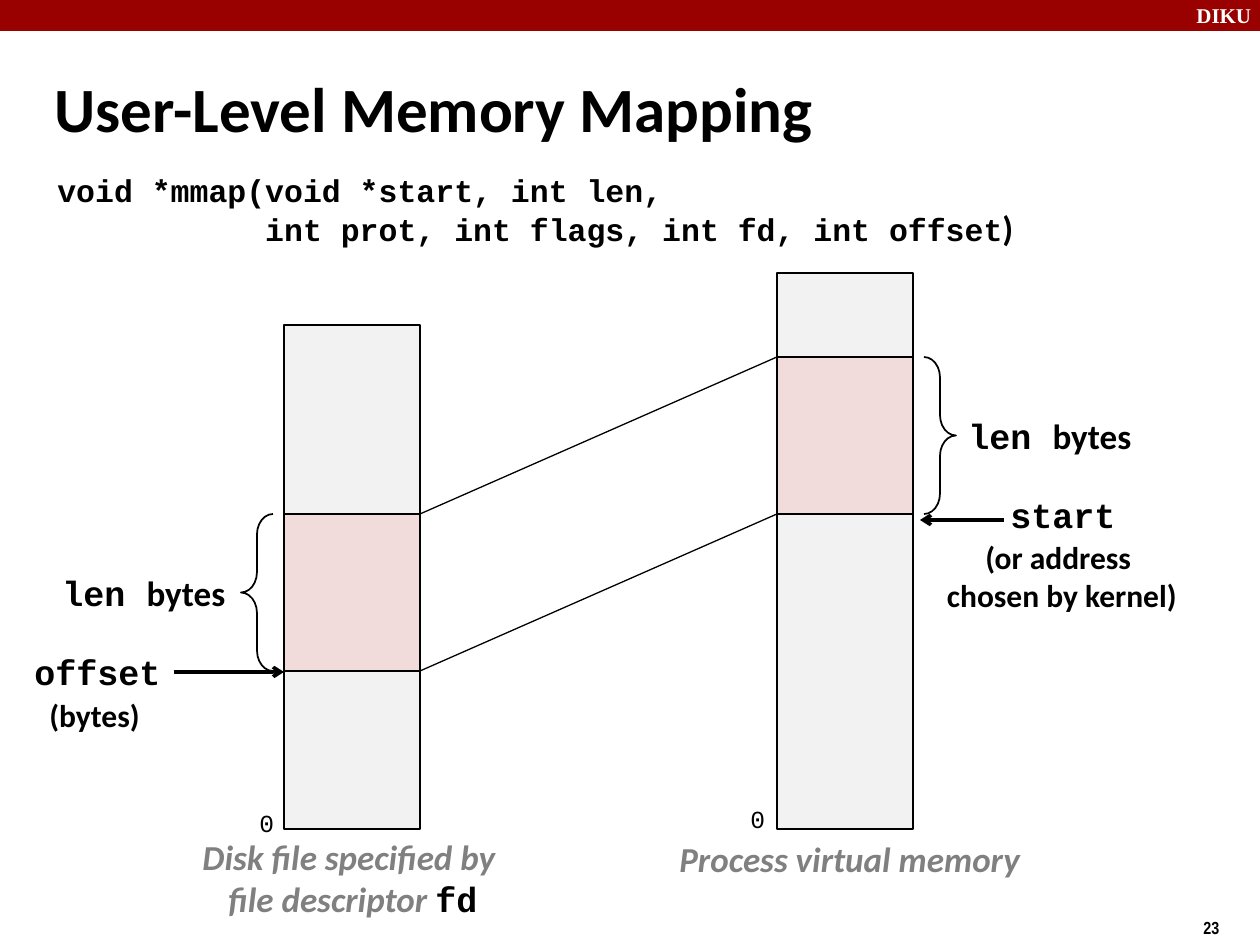
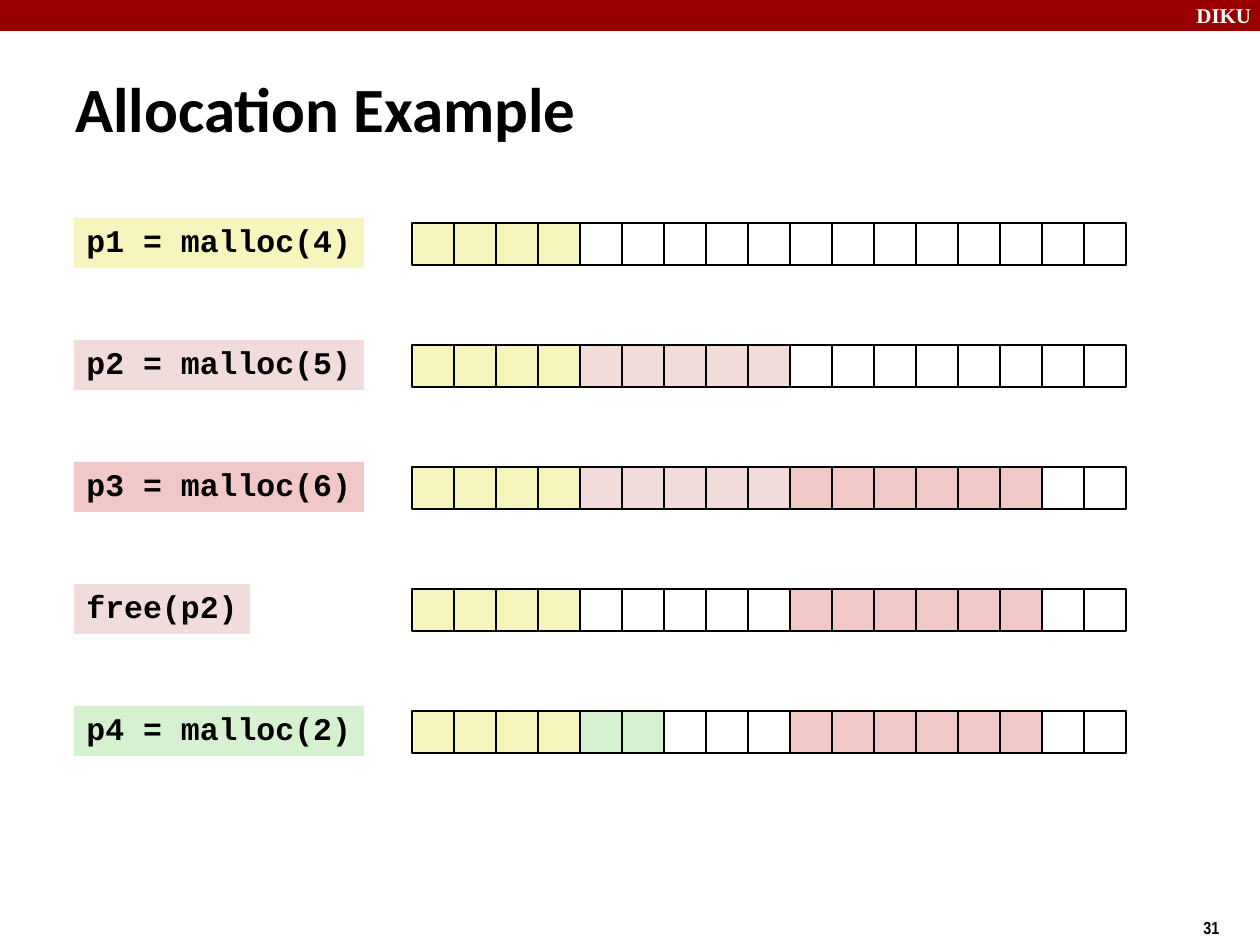
from lxml import etree
from pptx import Presentation
from pptx.dml.color import RGBColor
from pptx.enum.shapes import MSO_CONNECTOR, MSO_SHAPE
from pptx.enum.text import MSO_ANCHOR, PP_ALIGN
from pptx.oxml.ns import qn
from pptx.util import Emu, Pt

STRAIGHT = MSO_CONNECTOR.STRAIGHT
RECTANGLE = MSO_SHAPE.RECTANGLE
LEFT_BRACE, RIGHT_BRACE = MSO_SHAPE.LEFT_BRACE, MSO_SHAPE.RIGHT_BRACE
TOP, MIDDLE = MSO_ANCHOR.TOP, MSO_ANCHOR.MIDDLE
LEFT, CENTER = PP_ALIGN.LEFT, PP_ALIGN.CENTER

EMU_PER_PX = 914400 / 126
SLIDE_WIDTH, SLIDE_HEIGHT = 1260, 945

BLACK = RGBColor(0x00, 0x00, 0x00)
WHITE = RGBColor(0xFF, 0xFF, 0xFF)
GRAY = RGBColor(0x80, 0x80, 0x80)
BAND_RED = RGBColor(0x99, 0x00, 0x00)
MEMORY_GRAY = RGBColor(0xF2, 0xF2, 0xF2)
PINK = RGBColor(0xF2, 0xDC, 0xDB)
ROSE = RGBColor(0xF1, 0xC7, 0xC7)
YELLOW = RGBColor(0xF6, 0xF5, 0xBD)
GREEN = RGBColor(0xD5, 0xF1, 0xCF)

TITLE = {"name": "Calibri", "size": Pt(36), "bold": True}
BAND_LABEL = {"name": "Times New Roman", "size": Pt(12), "bold": True}
PAGE_NUMBER = {"name": "Arial Narrow", "size": Pt(10), "bold": True}
CODE = {"name": "Courier New", "size": Pt(18), "bold": True}
BIG_CODE = {**CODE, "size": Pt(20)}
ZERO = {"name": "Courier New", "size": Pt(14), "bold": False}
NOTE = {"name": "Calibri", "size": Pt(18), "bold": True}
BIG_NOTE = {**NOTE, "size": Pt(20)}
CAPTION = {**BIG_NOTE, "italic": True}

MAPPED_HEIGHT = 157
COLUMN_WIDTH, COLUMN_BOTTOM = 136, 829
CELL, HEAP_LEFT, HEAP_TOP, ROW_PITCH = 42, 412, 223, 122


def px(*lengths):
    return [Emu(round(length * EMU_PER_PX)) for length in lengths]


def write(shape, paragraphs, align=LEFT, anchor=TOP, wrap=False, spacing=1.0):
    frame = shape.text_frame
    frame.word_wrap = wrap
    frame.vertical_anchor = anchor
    for index, runs in enumerate(paragraphs):
        paragraph = frame.add_paragraph() if index else frame.paragraphs[0]
        paragraph.alignment = align
        paragraph.line_spacing = spacing
        for text, style, color in runs:
            run = paragraph.add_run()
            run.text = text
            for attribute, value in style.items():
                setattr(run.font, attribute, value)
            run.font.color.rgb = color


def add_text(slide, box, paragraphs, **layout):
    write(slide.shapes.add_textbox(*px(*box)), paragraphs, **layout)


def add_label(slide, box, text, style, color=BLACK, **layout):
    add_text(slide, box, [[(text, style, color)]], **layout)


def add_outline(slide, kind, box, fill=None, line=BLACK):
    shape = slide.shapes.add_shape(kind, *px(*box))
    shape.shadow.inherit = False
    if fill is None:
        shape.fill.background()
    else:
        shape.fill.solid()
        shape.fill.fore_color.rgb = fill
    if line is None:
        shape.line.fill.background()
    else:
        shape.line.color.rgb = line
        shape.line.width = Pt(1)
    return shape


def add_brace(slide, kind, left, top):
    brace = add_outline(slide, kind, (left, top, 32, MAPPED_HEIGHT))
    brace.adjustments[0] = 0.64


def add_line(slide, start, end, width=0.75, arrow=False):
    line = slide.shapes.add_connector(STRAIGHT, *px(*start, *end))
    line.line.color.rgb = BLACK
    line.line.width = Pt(width)
    if arrow:
        etree.SubElement(line.line._get_or_add_ln(), qn("a:tailEnd"), type="arrow")
    etree.SubElement(line._element.spPr, qn("a:effectLst"))


def add_base(deck, title, title_left, number):
    slide = deck.slides.add_slide(deck.slide_layouts[6])
    add_outline(slide, RECTANGLE, (0, 0, SLIDE_WIDTH, 31), BAND_RED, None)
    add_label(slide, (1184, -4, 84, 38), "DIKU", BAND_LABEL, WHITE, wrap=True)
    add_label(slide, (1191, 911, 94, 37), number, PAGE_NUMBER, wrap=True)
    add_label(slide, (title_left, 68, 1000, 79), title, TITLE, anchor=MIDDLE, wrap=True)
    return slide


def add_memory(slide, left, top, mapped_top):
    add_outline(slide, RECTANGLE, (left, top, COLUMN_WIDTH, COLUMN_BOTTOM - top), MEMORY_GRAY)
    add_outline(slide, RECTANGLE, (left, mapped_top, COLUMN_WIDTH, MAPPED_HEIGHT), PINK)


def add_length(slide, left, top):
    add_text(slide, (left, top, 194, 54),
             [[("len ", BIG_CODE, BLACK), ("bytes", BIG_NOTE, BLACK)]], wrap=True)


def add_heap_row(slide, row, call, label_width, color, blocks):
    top = HEAP_TOP + row * ROW_PITCH
    cells = [fill for fill, count in blocks for _ in range(count)]
    for column, fill in enumerate(cells):
        add_outline(slide, RECTANGLE, (HEAP_LEFT + column * CELL, top, CELL, CELL), fill)
    label = add_outline(slide, RECTANGLE, (74, top - 5, label_width, 50), color, None)
    write(label, [[(call, CODE, BLACK)]], spacing=0.94)


def build_mapping(deck):
    slide = add_base(deck, "User-Level Memory Mapping", 42, "23")
    add_text(slide, (45, 168, 1144, 115), [
        [("void *mmap(void *start, int len,", CODE, BLACK)],
        [("           int prot, int flags, int fd, int offset", CODE, BLACK),
         (")", BIG_NOTE, BLACK)],
    ], wrap=True, spacing=0.94)

    file_left, file_mapped = 284, 514
    process_left, process_mapped = 777, 357
    add_memory(slide, file_left, 325, file_mapped)
    add_memory(slide, process_left, 273, process_mapped)
    for offset in (0, MAPPED_HEIGHT):
        add_line(slide, (file_left + COLUMN_WIDTH, file_mapped + offset),
                 (process_left, process_mapped + offset))

    add_brace(slide, RIGHT_BRACE, 924, process_mapped)
    add_length(slide, 956, 408)
    add_line(slide, (1004, 520), (920, 520), 2, True)
    add_label(slide, (998, 487, 144, 54), "start", BIG_CODE, wrap=True)
    add_text(slide, (922, 532, 280, 88), [
        [("(or address ", NOTE, BLACK)],
        [("chosen by kernel)", NOTE, BLACK)],
    ], align=CENTER, wrap=True)
    add_label(slide, (667, 831, 390, 54), "Process virtual memory", CAPTION, GRAY, wrap=True)
    add_text(slide, (183, 829, 340, 97), [
        [("Disk file specified by ", CAPTION, GRAY)],
        [("file descriptor ", CAPTION, GRAY), ("fd", BIG_CODE, BLACK)],
    ], align=CENTER, wrap=True)

    add_brace(slide, LEFT_BRACE, 241, file_mapped)
    add_length(slide, 50, 565)
    add_label(slide, (22, 644, 166, 54), "offset", BIG_CODE, wrap=True)
    add_line(slide, (174, 672), (file_left, 672), 2, True)
    add_label(slide, (37, 690, 126, 50), "(bytes)", NOTE, wrap=True)
    add_label(slide, (247, 802, 44, 42), "0", ZERO, wrap=True)
    add_label(slide, (738, 798, 44, 42), "0", ZERO, wrap=True)


def build_allocation(deck):
    slide = add_base(deck, "Allocation Example", 63, "31")
    p1, p2, p3, p4 = (YELLOW, 4), (PINK, 5), (ROSE, 6), (GREEN, 2)
    steps = [
        ("p1 = malloc(4)", 290, YELLOW, [p1, (WHITE, 13)]),
        ("p2 = malloc(5)", 290, PINK, [p1, p2, (WHITE, 8)]),
        ("p3 = malloc(6)", 290, ROSE, [p1, p2, p3, (WHITE, 2)]),
        ("free(p2)", 176, PINK, [p1, (WHITE, 5), p3, (WHITE, 2)]),
        ("p4 = malloc(2)", 290, GREEN, [p1, p4, (WHITE, 3), p3, (WHITE, 2)]),
    ]
    for row, step in enumerate(steps):
        add_heap_row(slide, row, *step)


def main():
    deck = Presentation()
    deck.slide_width, deck.slide_height = px(SLIDE_WIDTH, SLIDE_HEIGHT)
    build_mapping(deck)
    build_allocation(deck)
    deck.save("out.pptx")


if __name__ == "__main__":
    main()
